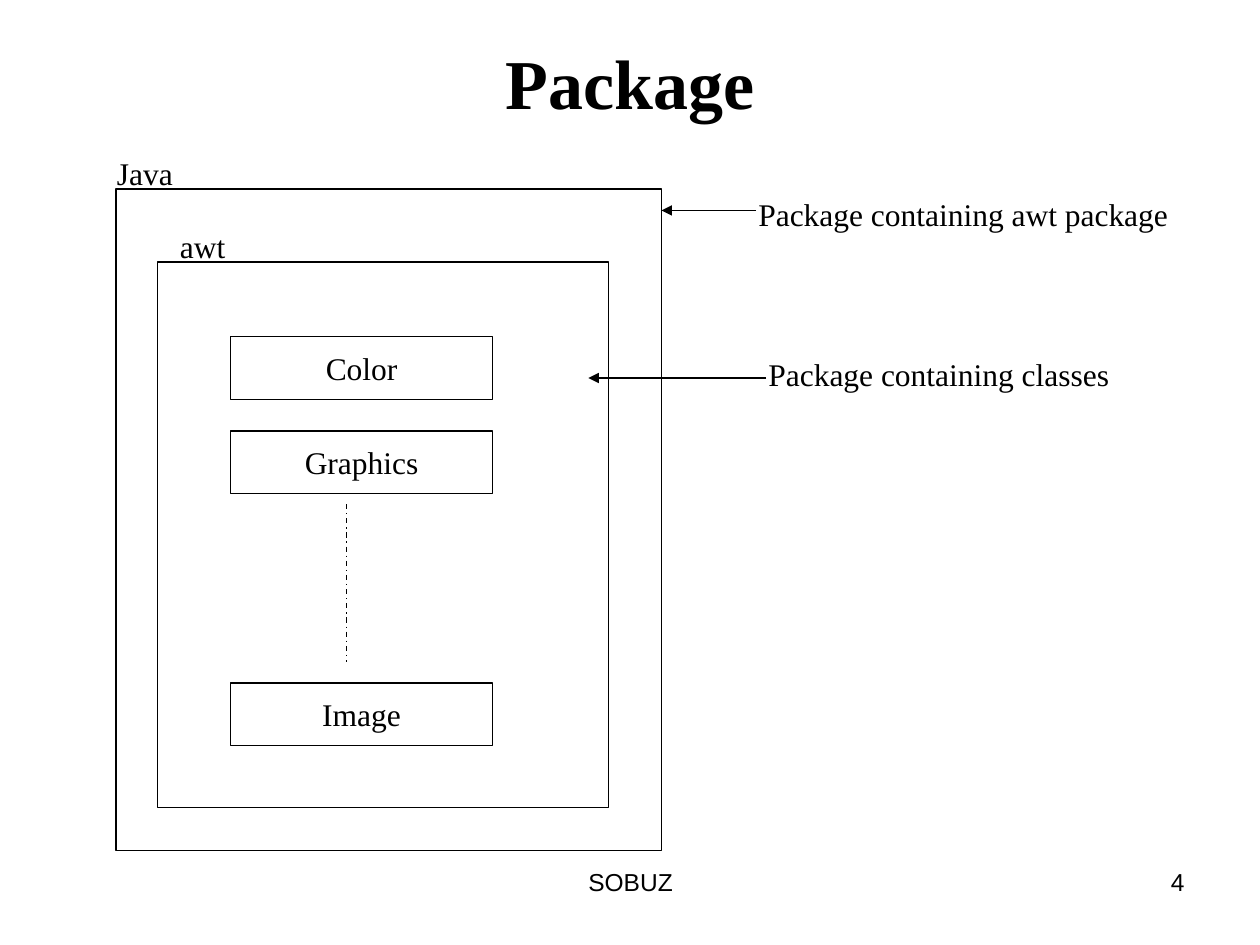
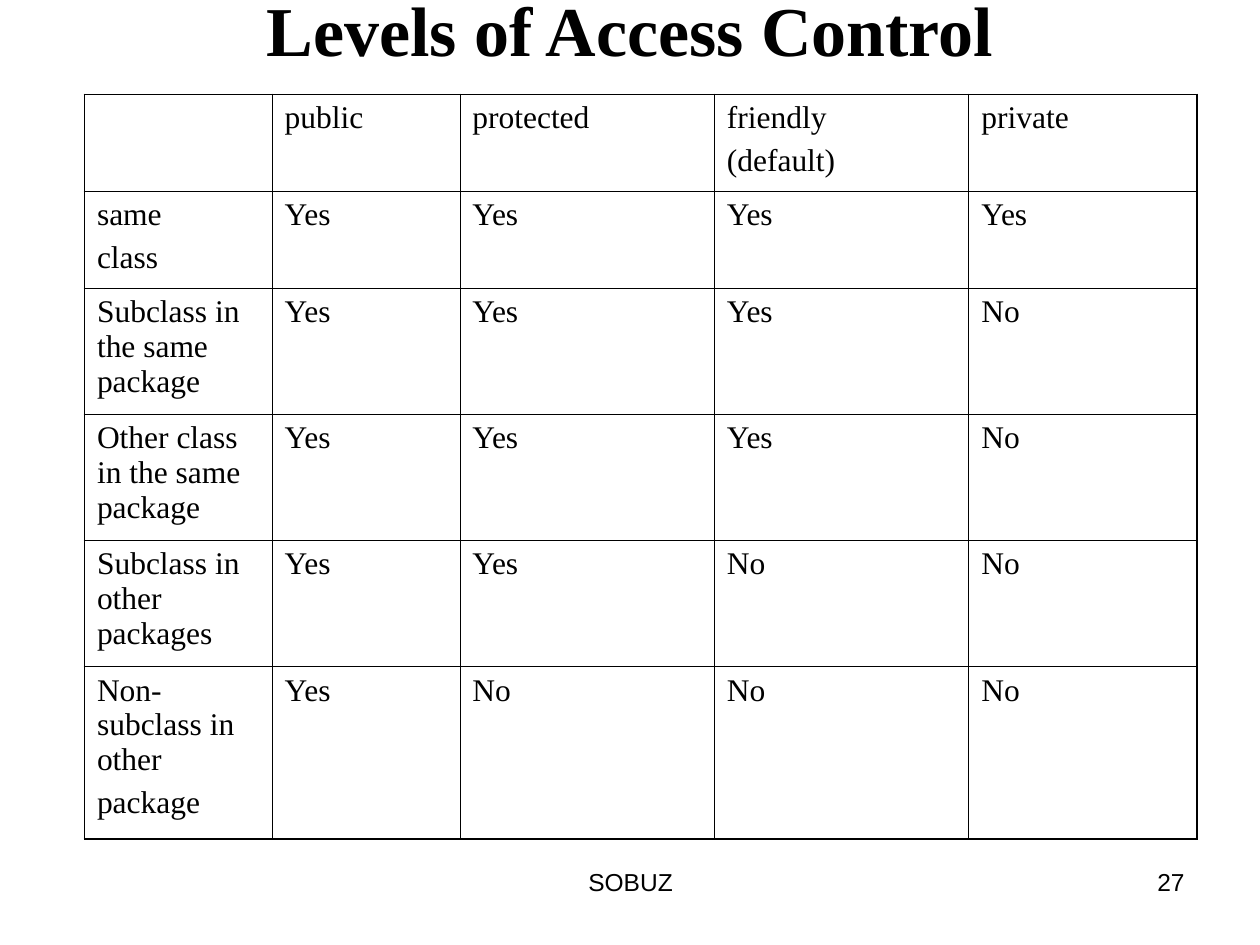
import pptx
import pptx.util
import pptx.dml.color
import pptx.enum.dml
import pptx.enum.shapes
import pptx.enum.text
import pptx.oxml
import pptx.oxml.ns

Inches = pptx.util.Inches
Pt = pptx.util.Pt
Align = pptx.enum.text.PP_ALIGN
Anchor = pptx.enum.text.MSO_ANCHOR
COLORS = {"ink": "000000", "paper": "FFFFFF"}
SERIF, SANS = "Times New Roman", "Arial"
THIN, THICK = 0.45, 1.08


class Deck:
    def __init__(self):
        self.prs = pptx.Presentation()
        self.prs.slide_width = Inches(10)
        self.prs.slide_height = Inches(7.5)
        self.slide = None

    def color(self, name):
        return pptx.dml.color.RGBColor.from_string(COLORS[name])

    def page(self, title, top, height, number):
        """Start a slide with its title and footer."""
        self.slide = self.prs.slides.add_slide(self.prs.slide_layouts[6])
        fill = self.slide.background.fill
        fill.solid()
        fill.fore_color.rgb = self.color("paper")
        self.text("SOBUZ", 3.42, 6.83, 3.17, 0.52, 14, SANS, Align.CENTER)
        self.text(number, 7.17, 6.83, 2.33, 0.52, 14, SANS, Align.RIGHT)
        self.text(title, 0.5, top, 9, height, 40, align=Align.CENTER,
                  bold=True, anchor=Anchor.MIDDLE)

    def put(self, frame, words, size=18, font=SERIF, align=Align.LEFT,
            bold=False, before=0):
        """Fill a text frame, one paragraph for each line of words."""
        for i, line in enumerate(words.split("\n")):
            para = frame.add_paragraph() if i else frame.paragraphs[0]
            para.alignment = align
            para.space_before = Pt(before)
            run = para.add_run()
            run.text = line
            run.font.size = Pt(size)
            run.font.name = font
            run.font.bold = bold
            run.font.color.rgb = self.color("ink")

    def text(self, words, x, y, w, h, size=18, font=SERIF, align=Align.LEFT,
             bold=False, anchor=Anchor.TOP, before=0):
        box = self.slide.shapes.add_textbox(Inches(x), Inches(y), Inches(w), Inches(h))
        frame = box.text_frame
        frame.word_wrap = True
        frame.vertical_anchor = anchor
        self.put(frame, words, size, font, align, bold, before)

    def label(self, words, x, y, w):
        self.text(words, x, y, w, 0.4, before=11.2)

    def rect(self, x, y, w, h, words=""):
        box = self.slide.shapes.add_shape(
            pptx.enum.shapes.MSO_SHAPE.RECTANGLE,
            Inches(x), Inches(y), Inches(w), Inches(h))
        box.shadow.inherit = False
        box.fill.solid()
        box.fill.fore_color.rgb = self.color("paper")
        box.line.color.rgb = self.color("ink")
        box.line.width = Pt(0.75)
        if words:
            box.text_frame.word_wrap = False
            box.text_frame.vertical_anchor = Anchor.MIDDLE
            self.put(box.text_frame, words, align=Align.CENTER)

    def line(self, x1, y1, x2, y2, dash=None, arrow=False):
        link = self.slide.shapes.add_connector(
            pptx.enum.shapes.MSO_CONNECTOR.STRAIGHT,
            Inches(x1), Inches(y1), Inches(x2), Inches(y2))
        link.line.color.rgb = self.color("ink")
        link.line.width = Pt(0.75)
        if dash:
            link.line.dash_style = dash
        props = link._element.spPr
        if arrow:
            tail = pptx.oxml.parse_xml(
                f'<a:tailEnd {pptx.oxml.ns.nsdecls("a")} type="triangle"/>')
            props.find(pptx.oxml.ns.qn("a:ln")).append(tail)
        props.append(pptx.oxml.parse_xml(
            f'<a:effectLst {pptx.oxml.ns.nsdecls("a")}/>'))

    def border(self, cell, widths):
        """Draw the cell's left, right, top and bottom lines."""
        props = cell._tc.get_or_add_tcPr()
        for i, (side, width) in enumerate(zip("LRTB", widths)):
            props.insert(i, pptx.oxml.parse_xml(
                f'<a:ln{side} {pptx.oxml.ns.nsdecls("a")} w="{Pt(width)}">'
                f'<a:solidFill><a:srgbClr val="{COLORS["ink"]}"/></a:solidFill>'
                f'</a:ln{side}>'))

    def table(self, x, y, cols, rows, cells):
        grid = self.slide.shapes.add_table(
            len(rows), len(cols), Inches(x), Inches(y),
            Inches(sum(cols)), Inches(sum(rows))).table
        grid.first_row = False
        grid.horz_banding = False
        for col, width in zip(grid.columns, cols):
            col.width = Inches(width)
        for row, height in zip(grid.rows, rows):
            row.height = Inches(height)
        for r, line in enumerate(cells):
            for c, words in enumerate(line):
                cell = grid.cell(r, c)
                cell.fill.background()
                edges = (c == 0, c == len(cols) - 1, r == 0, r == len(rows) - 1)
                self.border(cell, [THICK if edge else THIN for edge in edges])
                if words:
                    self.put(cell.text_frame, words, before=4.5)


def nest(deck):
    deck.page("Package", 0.3, 0.7, "4")
    # Nested packages and their classes
    deck.rect(0.92, 1.5, 4.33, 5.25)
    deck.rect(1.25, 2.08, 3.58, 4.33)
    for name, top in (("Color", 2.67), ("Graphics", 3.42), ("Image", 5.42)):
        deck.rect(1.83, top, 2.08, 0.5, name)
    deck.line(2.75, 4, 2.75, 5.25, dash=pptx.enum.dml.MSO_LINE.DASH_DOT)
    # Names and notes
    deck.label("Java", 0.83, 1.17, 2)
    deck.label("awt", 1.33, 1.75, 2.25)
    deck.label("Package containing awt package", 5.92, 1.5, 3.5)
    deck.label("Package containing classes", 6, 2.77, 3.5)
    deck.line(6, 1.67, 5.25, 1.67, arrow=True)
    deck.line(6.08, 3, 4.67, 3, arrow=True)


def access(deck):
    deck.page("Levels of Access Control", -0.08, 0.62, "27")
    # How many of the four levels grant access, from the left
    heads = ["", "public", "protected", "friendly\n(default)", "private"]
    grants = {
        "same\nclass": 4,
        "Subclass in the same package": 3,
        "Other class in the same package": 3,
        "Subclass in other packages": 2,
        "Non-subclass in other\npackage": 1,
    }
    cells = [heads] + [[who] + ["Yes"] * n + ["No"] * (4 - n)
                       for who, n in grants.items()]
    deck.table(0.67, 0.75, [1.49, 1.49, 2.02, 2.02, 1.81],
               [0.77, 0.77, 1, 1, 1, 1.37], cells)


def main():
    deck = Deck()
    nest(deck)
    access(deck)
    deck.prs.save("out.pptx")


if __name__ == "__main__":
    main()
